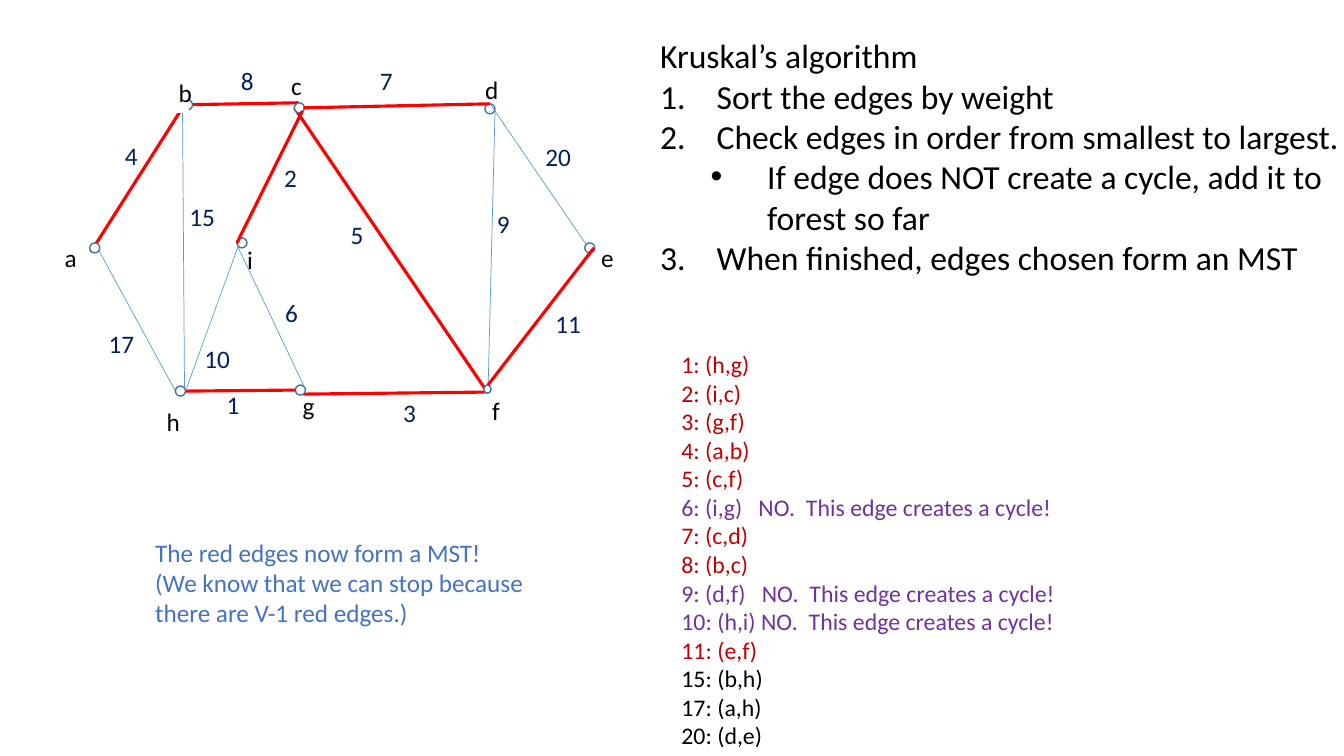
from typing import NamedTuple

from lxml import etree
from pptx import Presentation
from pptx.dml.color import RGBColor
from pptx.enum.shapes import MSO_CONNECTOR, MSO_SHAPE
from pptx.enum.text import MSO_ANCHOR, PP_ALIGN
from pptx.oxml.ns import qn
from pptx.util import Inches, Pt

STRAIGHT = MSO_CONNECTOR.STRAIGHT
RECT, OVAL = MSO_SHAPE.RECTANGLE, MSO_SHAPE.OVAL
TOP, LEFT = MSO_ANCHOR.TOP, PP_ALIGN.LEFT

BLACK, WHITE, NAVY, BLUE = "000000", "FFFFFF", "002060", "4472C4"
ACCEPTED, REJECTED = "C00000", "7030A0"
TREE, PLAIN, NODE_LINE = "FF0000", "5B9BD5", "43739E"
NO_CYCLE = "NO.  This edge creates a cycle!"
FRAME = {
    "word_wrap": True,
    "vertical_anchor": TOP,
    "margin_left": Inches(0.1),
    "margin_right": Inches(0.1),
    "margin_top": Inches(0.05),
    "margin_bottom": Inches(0.05),
}


class Edge(NamedTuple):
    x1: float
    y1: float
    x2: float
    y2: float
    in_tree: bool = False


class Node(NamedTuple):
    x: float
    y: float
    w: float = 0.1
    h: float = 0.1


class Label(NamedTuple):
    text: str
    x: float
    y: float
    w: float = 0.18


class Line(NamedTuple):
    text: str
    color: str = BLACK
    marker: str = ""
    level: int = 0
    joined: bool = False


LABELS = [
    Label("d", 4.73, 0.69), Label("c", 2.79, 0.65, 0.23), Label("g", 2.92, 3.82),
    Label("h", 1.57, 3.98), Label("a", 0.56, 2.35), Label("e", 5.88, 2.36),
    Label("f", 4.8, 3.87), Label("i", 2.37, 2.37),
]
LABEL_B = Label("b", 1.69, 0.72)

EDGES_UNDER = [
    Edge(1.81, 1.04, 1.83, 3.84),
    Edge(1.81, 1.04, 2.96, 1.02, True),
    Edge(1.86, 0.99, 0.9, 2.5, True),
    Edge(4.84, 3.9, 4.91, 1.09),
    Edge(3.01, 3.91, 4.81, 3.89, True),
    Edge(2.92, 1.07, 4.84, 3.9, True),
    Edge(1.74, 3.88, 0.94, 2.41),
]
EDGES_OVER = [
    Edge(2.35, 2.41, 3, 1.1, True),
    Edge(2.93, 3.87, 1.84, 3.88, True),
    Edge(5.89, 2.46, 4.84, 3.82, True),
    Edge(4.86, 1.03, 3.01, 1.07, True),
    Edge(1.84, 3.88, 2.36, 2.45),
    Edge(2.36, 2.45, 3.01, 3.82),
    Edge(5.81, 2.42, 4.86, 1.03),
]
NODES = [
    Node(0.89, 2.41), Node(1.81, 0.99), Node(2.92, 1.02), Node(1.74, 3.83),
    Node(2.35, 2.36), Node(2.93, 3.82), Node(5.8, 2.41),
    Node(4.8, 3.82, 0.07, 0.08), Node(4.81, 1.03),
]
WEIGHTS = [
    Label("4", 1.14, 1.34), Label("5", 3.38, 2.13), Label("3", 3.9, 3.89),
    Label("2", 2.72, 1.56), Label("8", 2.29, 0.6), Label("15", 1.78, 1.95),
    Label("11", 5.41, 3.01), Label("9", 4.83, 2.02), Label("7", 3.67, 0.6),
    Label("20", 5.31, 1.35), Label("6", 2.73, 2.9), Label("10", 1.93, 3.36),
    Label("17", 0.98, 3.21), Label("1", 2.15, 3.81),
]

ALGORITHM = [
    Line("Kruskal’s algorithm"),
    Line("Sort the edges by weight", marker="number"),
    Line("Check edges in order from smallest to largest.", marker="number"),
    Line("If edge does NOT create a cycle, add it to forest so far", marker="bullet", level=1),
    Line("When finished, edges chosen form an MST", marker="number"),
]
SORTED_EDGES = [
    Line("1: (h,g)", ACCEPTED),
    Line("2: (i,c)", ACCEPTED),
    Line("3: (g,f)", ACCEPTED, joined=True),
    Line("4: (a,b)", ACCEPTED),
    Line("5: (c,f)", ACCEPTED),
    Line(f"6: (i,g)   {NO_CYCLE}", REJECTED),
    Line("7: (c,d)", ACCEPTED),
    Line("8: (b,c)", ACCEPTED, joined=True),
    Line(f"9: (d,f)   {NO_CYCLE}", REJECTED),
    Line(f"10: (h,i) {NO_CYCLE}", REJECTED),
    Line("11: (e,f)", ACCEPTED, joined=True),
    Line("15: (b,h)"),
    Line("17: (a,h)"),
    Line("20: (d,e)", joined=True),
]
CONCLUSION = [
    Line("The red edges now form a MST!", BLUE),
    Line("(We know that we can stop because there are V-1 red edges.)", BLUE),
]


def rgb(value: str) -> RGBColor:
    return RGBColor.from_string(value)


def add_marker(p, line: Line) -> None:
    pPr = p._p.get_or_add_pPr()
    pPr.set("marL", str(Inches(0.56 + 0.5 * line.level)))
    pPr.set("indent", str(Inches(-0.56)))
    if line.marker == "number":
        etree.SubElement(pPr, qn("a:buFont"), typeface="+mj-lt")
        etree.SubElement(pPr, qn("a:buAutoNum"), type="arabicPeriod")
    else:
        etree.SubElement(pPr, qn("a:buFont"), typeface="Arial")
        etree.SubElement(pPr, qn("a:buChar"), char="•")


def write(sp, lines: list[Line], size: float) -> None:
    tf = sp.text_frame
    for name, value in FRAME.items():
        setattr(tf, name, value)
    p = tf.paragraphs[0]
    for i, line in enumerate(lines):
        if line.joined:
            p.add_line_break()
        elif i:
            p = tf.add_paragraph()
        p.alignment, p.level = LEFT, line.level
        if line.marker:
            add_marker(p, line)
        r = p.add_run()
        r.text = line.text
        for name, value in {"name": "Calibri", "size": Pt(size)}.items():
            setattr(r.font, name, value)
        r.font.color.rgb = rgb(line.color)


def add_text(x: float, y: float, w: float, h: float, lines: list[Line], size: float) -> None:
    sp = slide.shapes.add_textbox(Inches(x), Inches(y), Inches(w), Inches(h))
    write(sp, lines, size)


def add_plain_shape(kind, x: float, y: float, w: float, h: float):
    sp = slide.shapes.add_shape(kind, Inches(x), Inches(y), Inches(w), Inches(h))
    sp.shadow.inherit = False
    sp.fill.solid()
    sp.fill.fore_color.rgb = rgb(WHITE)
    sp.line.fill.background()
    return sp


def outline(sp, color: str, width: float) -> None:
    sp.line.color.rgb = rgb(color)
    sp.line.width = Pt(width)


def add_label(label: Label) -> None:
    sp = add_plain_shape(RECT, label.x, label.y, label.w, 0.4)
    write(sp, [Line(label.text)], 18)


def add_node(node: Node) -> None:
    outline(add_plain_shape(OVAL, *node), NODE_LINE, 1)


def add_edge(edge: Edge) -> None:
    ends = [Inches(v) for v in edge[:4]]
    sp = slide.shapes.add_connector(STRAIGHT, *ends)
    outline(sp, *((TREE, 2.25) if edge.in_tree else (PLAIN, 0.5)))
    etree.SubElement(sp._element.spPr, qn("a:effectLst"))


prs = Presentation()
prs.slide_width, prs.slide_height = Inches(13.33), Inches(7.5)
slide = prs.slides.add_slide(prs.slide_layouts[6])

for draw, items in [(add_label, LABELS), (add_edge, EDGES_UNDER), (add_node, NODES),
                    (add_edge, EDGES_OVER), (add_label, [LABEL_B])]:
    for item in items:
        draw(item)
for weight in WEIGHTS:
    add_text(weight.x, weight.y, 0.25 * len(weight.text), 0.4, [Line(weight.text, NAVY)], 18)

add_text(6.45, 0.3, 6.97, 2.52, ALGORITHM, 24)
edge_list = add_plain_shape(RECT, 6.66, 3.42, 5.38, 4.11)
edge_list.fill.background()
outline(edge_list, WHITE, 2.25)
write(edge_list, SORTED_EDGES, 17)
add_text(1.44, 5.28, 3.89, 1.01, CONCLUSION, 18)

prs.save("out.pptx")
